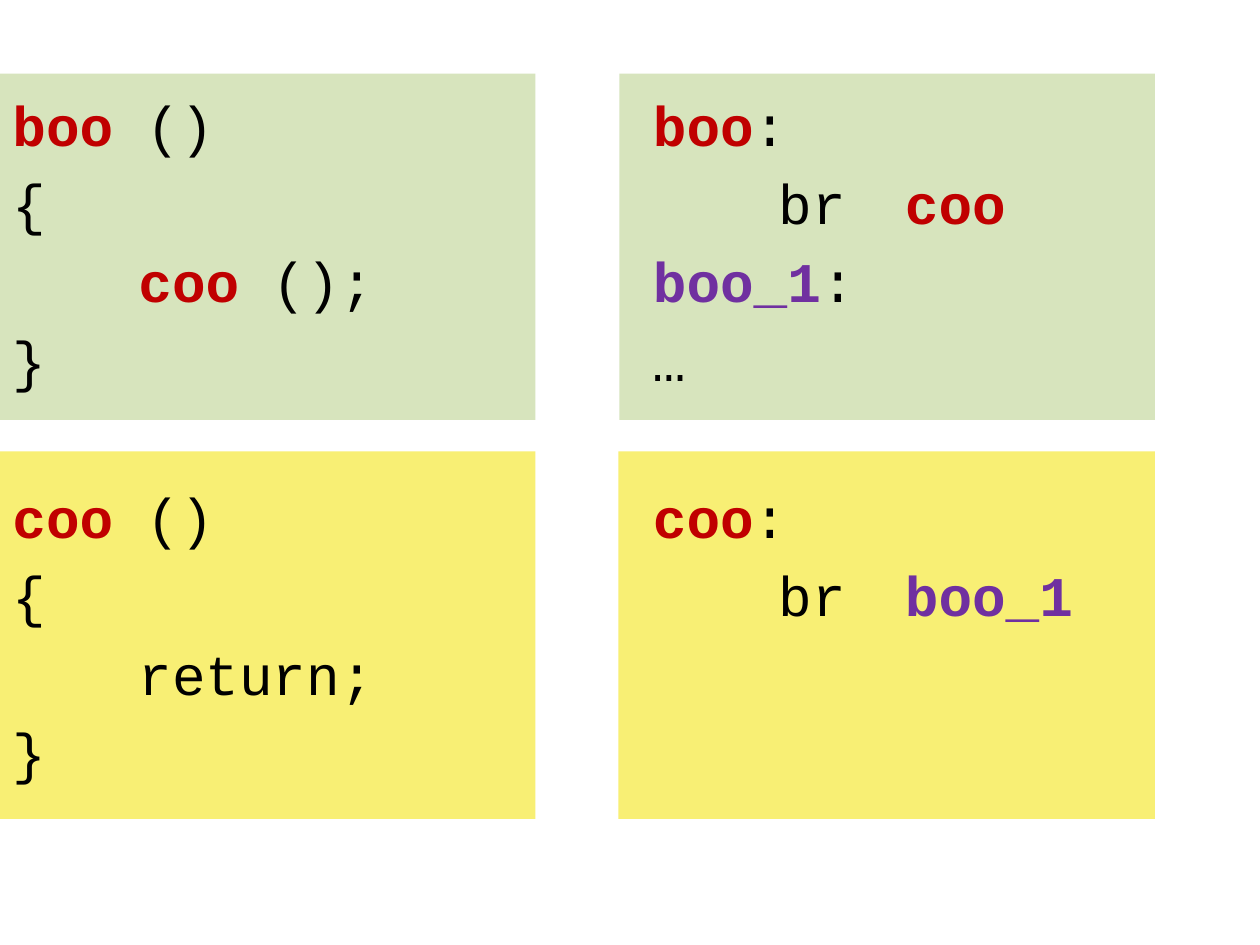
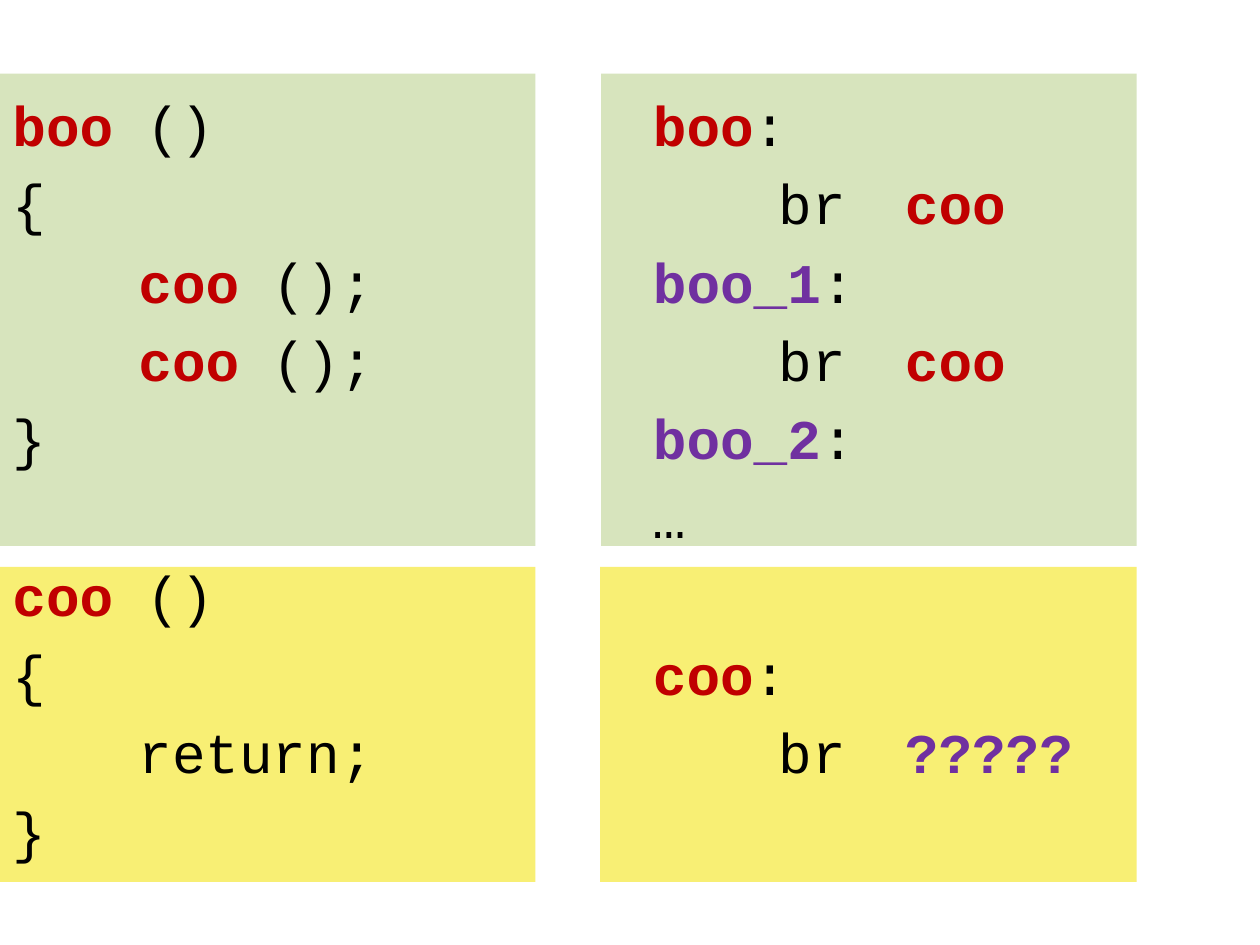
from lxml.etree import SubElement
from pptx import Presentation
from pptx.dml.color import RGBColor
from pptx.enum.shapes import MSO_SHAPE as Shape
from pptx.enum.text import MSO_ANCHOR as Anchor, PP_ALIGN as Align
from pptx.oxml.ns import qn
from pptx.util import Inches, Pt

GREEN = RGBColor(0xD7, 0xE4, 0xBD)
YELLOW = RGBColor(0xF8, 0xEF, 0x74)
RED = RGBColor(0xC0, 0x00, 0x00)
PURPLE = RGBColor(0x70, 0x30, 0xA0)
BLACK = RGBColor(0x00, 0x00, 0x00)

# Function names are red, return addresses purple, all other code black
LABEL_COLOURS = {"boo": RED, "coo": RED,
                 "boo_1": PURPLE, "boo_2": PURPLE, "?????": PURPLE}

# Grid of 120 columns by 90 rows
COLUMNS, ROWS = 120, 90
PANEL_WIDTH, CALLEE_OVERHANG = 51, 0.1
SOURCE_LEFT, ASSEMBLY_LEFT = 0, 61
SOURCE_WIDTH, ASSEMBLY_WIDTH = 44, 57
CODE_TOP, LINE_ROWS = 8, 7.47
TAB_COLUMNS = (12, 24)


class CodeDeck:
    """Holds the style, the grid and the current slide."""

    font, size, space_before = "Courier New", Pt(32), Pt(6.4)

    def __init__(self):
        self.deck = Presentation()
        self.deck.slide_width, self.deck.slide_height = Inches(10), Inches(7.5)
        self.slide = None

    def new_slide(self):
        self.slide = self.deck.slides.add_slide(self.deck.slide_layouts[6])

    def across(self, columns):
        return round(columns * self.deck.slide_width / COLUMNS)

    def down(self, rows):
        return round(rows * self.deck.slide_height / ROWS)

    def area(self, left, top, width, height):
        return (self.across(left), self.down(top),
                self.across(width), self.down(height))

    def panel(self, left, top, width, height, colour):
        panel = self.slide.shapes.add_shape(
            Shape.RECTANGLE, *self.area(left, top, width, height))
        panel.shadow.inherit = False
        panel.fill.solid()
        panel.fill.fore_color.rgb = colour
        panel.line.fill.background()

    def code(self, left, width, first_line, lines):
        """Write lines of code; each line is a tuple of pieces."""
        top = CODE_TOP + first_line * LINE_ROWS
        listing = self.slide.shapes.add_textbox(
            *self.area(left, top, width, len(lines) * LINE_ROWS + 1)).text_frame
        listing.word_wrap = True
        listing.vertical_anchor = Anchor.TOP
        for number, pieces in enumerate(lines):
            line = listing.add_paragraph() if number else listing.paragraphs[0]
            line.alignment = Align.LEFT
            line.space_before = self.space_before
            self.tab_stops(line)
            for piece in pieces:
                self.piece(line, piece)

    def tab_stops(self, line):
        stops = SubElement(line._p.get_or_add_pPr(), qn("a:tabLst"))
        for columns in TAB_COLUMNS:
            SubElement(stops, qn("a:tab"), pos=str(self.across(columns)), algn="l")

    def piece(self, line, text):
        run = line.add_run()
        run.text = text
        run.font.name, run.font.size = self.font, self.size
        run.font.bold = text in LABEL_COLOURS
        run.font.color.rgb = LABEL_COLOURS.get(text, BLACK)

    def save(self):
        self.deck.save("out.pptx")


# Code shared by the slides
def function(name, *body):
    return [(name, " ()"), ("{",), *body, ("}",)]


def branch(target):
    return ("\tbr\t", target)


def label(name):
    return (name, ":")


CALL_COO = ("\t", "coo", " ();")
COO_SOURCE = function("coo", ("\treturn;",))


def call_slide(deck, panel_left, caller, callee, calls, return_to, coo_lines):
    """Source on the left, assembly on the right; caller above callee."""
    deck.new_slide()

    # Panels: (top, height) of the caller and callee bands
    for left in (panel_left, 0):
        for (top, height), overhang, colour in (
                (caller, 0, GREEN), (callee, CALLEE_OVERHANG, YELLOW)):
            deck.panel(left - overhang, top, PANEL_WIDTH + overhang, height, colour)

    # Caller
    boo_assembly = [label("boo")]
    for call in range(1, calls + 1):
        boo_assembly += [branch("coo"), label(f"boo_{call}")]
    deck.code(SOURCE_LEFT, SOURCE_WIDTH, 0, function("boo", *[CALL_COO] * calls))
    deck.code(ASSEMBLY_LEFT, ASSEMBLY_WIDTH, 0, boo_assembly + [("…",)])

    # Callee
    source_line, assembly_line = coo_lines
    deck.code(SOURCE_LEFT, SOURCE_WIDTH, source_line, COO_SOURCE)
    deck.code(ASSEMBLY_LEFT, ASSEMBLY_WIDTH, assembly_line,
              [label("coo"), branch(return_to)])


def main():
    deck = CodeDeck()
    # One call: the return address is known
    call_slide(deck, 59, (7, 33), (43, 35), 1, "boo_1", (5, 5))
    # Two calls: the return address is ambiguous
    call_slide(deck, 57.25, (7, 45), (54, 30), 2, "?????", (6, 7))
    deck.save()


if __name__ == "__main__":
    main()
